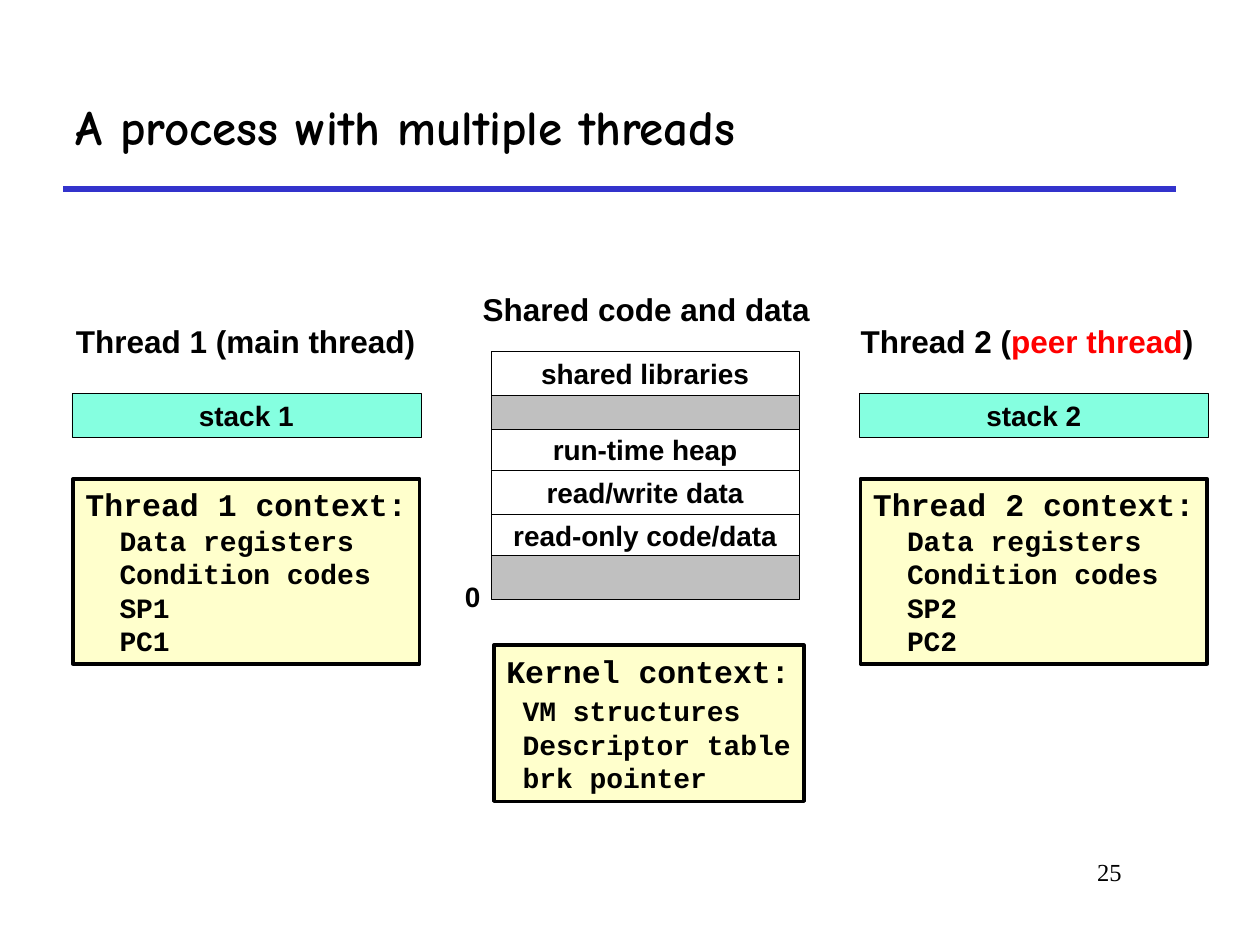
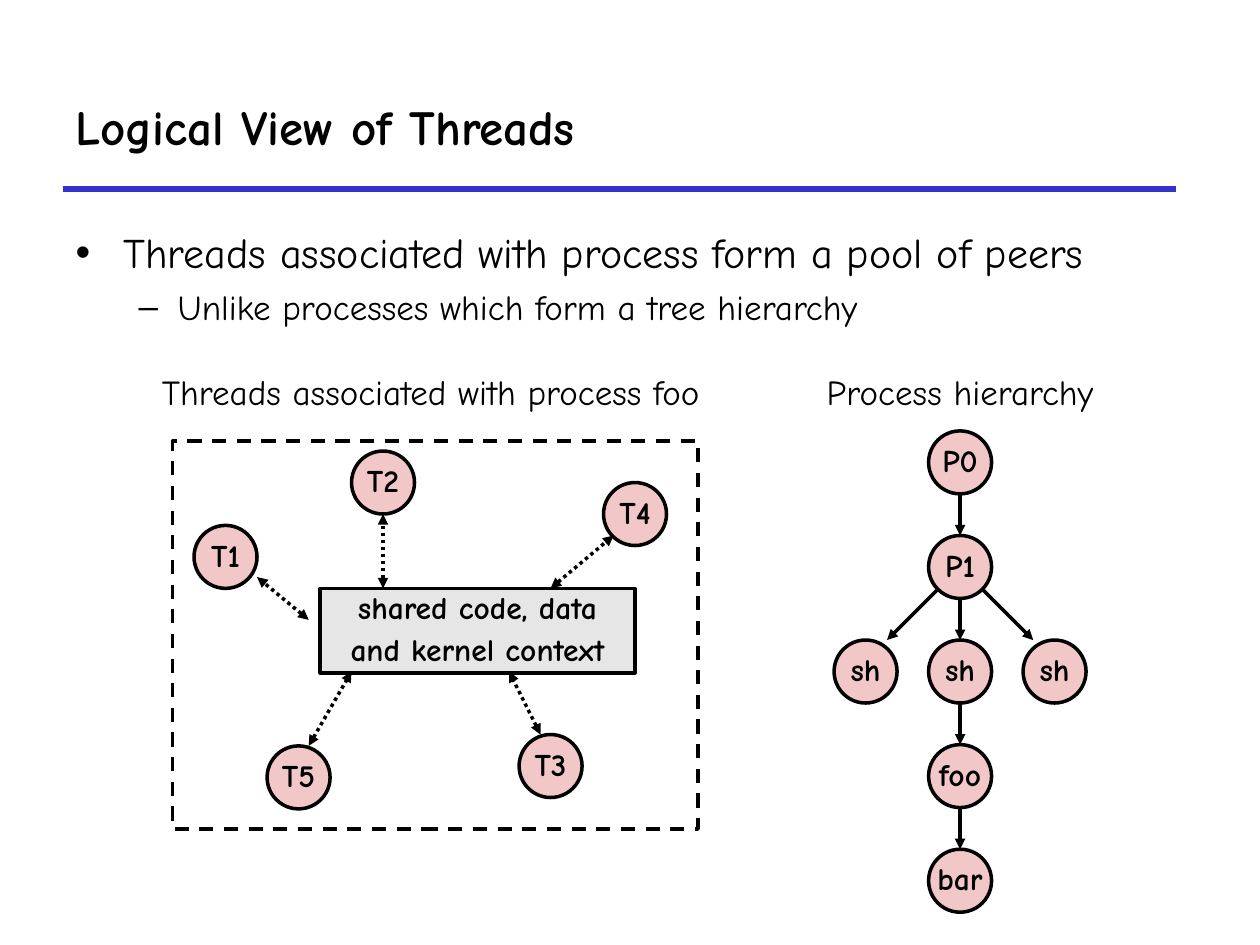
from dataclasses import dataclass

from lxml import etree
from pptx import Presentation
from pptx.dml.color import RGBColor
from pptx.enum.dml import MSO_LINE
from pptx.enum.shapes import MSO_CONNECTOR, MSO_SHAPE
from pptx.enum.text import MSO_ANCHOR, MSO_AUTO_SIZE, PP_ALIGN
from pptx.oxml.ns import qn
from pptx.util import Inches, Pt

RECT, OVAL = MSO_SHAPE.RECTANGLE, MSO_SHAPE.OVAL
STRAIGHT = MSO_CONNECTOR.STRAIGHT
LEFT, CENTER, RIGHT = PP_ALIGN.LEFT, PP_ALIGN.CENTER, PP_ALIGN.RIGHT
DASH, DOTS = MSO_LINE.DASH, MSO_LINE.ROUND_DOT
TITLE_AND_CONTENT, TITLE_ONLY = 1, 5


@dataclass(frozen=True)
class Theme:
    ink: str = "000000"
    rule: str = "3333CC"
    accent: str = "FF0000"
    cell: str = "FFFFFF"
    gap: str = "C0C0C0"
    stack: str = "85FFE0"
    context: str = "FFFFCC"
    node: str = "F1C7C7"
    shared: str = "E6E6E6"
    comic: str = "Comic Neue"
    sans: str = "Arial"
    mono: str = "Courier New"
    serif: str = "Times New Roman"
    title_size: int = 28
    bullet_size: int = 24
    caption_size: int = 20
    heading_size: int = 18
    item_size: int = 16
    number_size: int = 14
    thin: float = 0.25
    thick: float = 2
    rule_width: float = 3


THEME = Theme()

# Slide 1: each label is a list of (text, colour) runs
THREADS_TITLE = "A process with multiple threads"
SLIDE_NUMBER = "25"
THREADS = [
    dict(number=1, label_center=1.95, label=[("Thread 1 (main thread)", THEME.ink)]),
    dict(number=2, label_center=8.15, label=[
        ("Thread 2 (", THEME.ink), ("peer thread", THEME.accent), (")", THEME.ink)]),
]
CONTEXT_ITEMS = ["Data registers", "Condition codes", "SP{0}", "PC{0}"]
MEMORY_HEADING = [("Shared code and data", THEME.ink)]
MEMORY = [  # text (empty for an unused range), height
    ("shared libraries", 0.35),
    ("", 0.27),
    ("run-time heap", 0.32),
    ("read/write data", 0.35),
    ("read-only code/data", 0.33),
    ("", 0.35),
]
KERNEL = ["Kernel context:", "VM structures", "Descriptor table", "brk pointer"]

# Slide 2
LOGICAL_TITLE = "Logical View of Threads"
BULLETS = [  # text, level, size, left margin, hanging indent, space before
    ("Threads associated with process form a pool of peers", 0,
     THEME.bullet_size, 0.38, 0.38, 0),
    ("Unlike processes which form a tree hierarchy", 1,
     THEME.caption_size, 0.81, 0.31, 5),
]
CAPTIONS = [("Threads associated with process foo", 3.42), ("Process hierarchy", 7.62)]
SHARED = ["shared code, data", "and kernel context"]
POOL = [  # thread, centre, arrow start, arrow end
    ("T1", (1.79, 4.42), (2.45, 4.92), (2.04, 4.58)),
    ("T2", (3.04, 3.83), (3.04, 4.67), (3.04, 4.08)),
    ("T3", (4.37, 6.08), (4.29, 5.83), (4.04, 5.33)),
    ("T4", (5.04, 4.08), (4.37, 4.67), (4.87, 4.25)),
    ("T5", (2.37, 6.17), (2.45, 5.92), (2.79, 5.33)),
]
HIERARCHY = [  # process, column, level
    ("P0", 0, 0), ("P1", 0, 1),
    ("sh", -1, 2), ("sh", 0, 2), ("sh", 1, 2),
    ("foo", 0, 3), ("bar", 0, 4),
]
NODE_SIZE = 0.5
TREE_X, TREE_Y, COLUMN_STEP, LEVEL_STEP = 7.62, 3.67, 0.75, 0.83


def inches(*lengths):
    return [Inches(length) for length in lengths]


def style(paragraph, font, size, bold=True, align=LEFT, color=THEME.ink):
    paragraph.alignment = align
    paragraph.font.name = font
    paragraph.font.size = Pt(size)
    paragraph.font.bold = bold
    paragraph.font.color.rgb = RGBColor.from_string(color)


def set_indent(paragraph, margin, hanging=0):
    properties = paragraph._p.get_or_add_pPr()
    properties.set("marL", str(Inches(margin)))
    properties.set("indent", str(-Inches(hanging)))


def write(shape, lines, font, size, bold=True, align=CENTER, spacing=None, before=0):
    """Fill a shape with unwrapped lines in one style and return its paragraphs."""
    frame = shape.text_frame
    frame.word_wrap = False
    frame.auto_size = MSO_AUTO_SIZE.NONE
    frame.vertical_anchor = MSO_ANCHOR.MIDDLE
    frame.text = "\n".join(lines)
    for index, paragraph in enumerate(frame.paragraphs):
        style(paragraph, font, size, bold, align)
        paragraph.line_spacing = spacing
        if index:
            paragraph.space_before = Pt(before)
    return frame.paragraphs


def add_block(slide, kind, box, fill, width, dash=None):
    shape = slide.shapes.add_shape(kind, *inches(*box))
    shape.shadow.inherit = False
    if fill:
        shape.fill.solid()
        shape.fill.fore_color.rgb = RGBColor.from_string(fill)
    else:
        shape.fill.background()
    shape.line.color.rgb = RGBColor.from_string(THEME.ink)
    shape.line.width = Pt(width)
    if dash:
        shape.line.dash_style = dash
    return shape


def add_line(slide, start, end, color=THEME.ink, width=THEME.thick, dash=None, arrows=()):
    """Draw a straight line; arrows names the ends ("headEnd", "tailEnd") with a triangle."""
    line = slide.shapes.add_connector(STRAIGHT, *inches(*start, *end))
    line.line.color.rgb = RGBColor.from_string(color)
    line.line.width = Pt(width)
    if dash:
        line.line.dash_style = dash
    outline = line.line._get_or_add_ln()
    for arrow in arrows:
        etree.SubElement(outline, qn("a:" + arrow), type="triangle")
    etree.SubElement(line._element.spPr, qn("a:effectLst"))


def add_titled_slide(deck, layout, title_text):
    slide = deck.slides.add_slide(deck.slide_layouts[layout])
    add_line(slide, (0.5, 1.5), (9.33, 1.5), THEME.rule, THEME.rule_width)
    title = slide.shapes.title
    title.left, title.top, title.width, title.height = inches(0.5, 0.5, 8.83, 1)
    write(title, [title_text], THEME.comic, THEME.title_size, align=LEFT)
    title.text_frame.word_wrap = True
    return slide


def add_label(slide, runs, center, top, width):
    box = slide.shapes.add_textbox(*inches(center - width / 2, top, width, 0.4))
    paragraph = write(box, [""], THEME.sans, THEME.heading_size)[0]
    for text, color in runs:
        run = paragraph.add_run()
        run.text = text
        run.font.color.rgb = RGBColor.from_string(color)


def add_context(slide, box, lines, margin):
    """Draw a context box: a heading line, then smaller indented items."""
    block = add_block(slide, RECT, box, THEME.context, THEME.thick)
    heading, *items = write(block, lines, THEME.mono, THEME.heading_size, align=LEFT)
    for item in items:
        item.font.size = Pt(THEME.item_size)
        set_indent(item, margin)
    return items


def add_node(slide, name, center):
    x, y = center
    box = (x - NODE_SIZE / 2, y - NODE_SIZE / 2, NODE_SIZE, NODE_SIZE)
    node = add_block(slide, OVAL, box, THEME.node, THEME.thick)
    write(node, [name], THEME.comic, THEME.heading_size, spacing=0.9)


def add_cell(slide, box, text, fill):
    cell = add_block(slide, RECT, box, fill, THEME.thin)
    if text:
        write(cell, [text], THEME.sans, THEME.item_size)


def build_threads_slide(deck):
    slide = add_titled_slide(deck, TITLE_ONLY, THREADS_TITLE)

    for index, thread in enumerate(THREADS):
        number, left = thread["number"], 0.57 + 6.25 * index
        add_label(slide, thread["label"], thread["label_center"], 2.51, 2.89)
        add_cell(slide, (left, 3.12, 2.77, 0.35), f"stack {number}", THEME.stack)
        items = [item.format(number) for item in CONTEXT_ITEMS]
        add_context(slide, (left + 0.01, 3.8, 2.75, 1.47),
                    [f"Thread {number} context:", *items], 0.27)

    add_label(slide, MEMORY_HEADING, 5.13, 2.25, 2.87)
    top = 2.79
    for text, height in MEMORY:
        add_cell(slide, (3.9, top, 2.44, height), text, THEME.cell if text else THEME.gap)
        top += height
    address = slide.shapes.add_textbox(*inches(3.59, 4.55, 0.32, 0.37))
    write(address, ["0"], THEME.sans, THEME.item_size)

    kernel_items = add_context(slide, (3.92, 5.12, 2.46, 1.24), KERNEL, 0.13)
    kernel_items[0].space_before = Pt(2.4)

    number_box = slide.shapes.add_textbox(*inches(7.58, 6.75, 1.42, 0.5))
    write(number_box, [SLIDE_NUMBER], THEME.serif, THEME.number_size, False, RIGHT)
    number_box.text_frame.word_wrap = True
    number_box.text_frame.vertical_anchor = MSO_ANCHOR.TOP


def add_bullets(slide):
    body = slide.placeholders[1]
    body.left, body.top, body.width, body.height = inches(0.5, 1.75, 9.08, 4.83)
    frame = body.text_frame
    frame.auto_size = MSO_AUTO_SIZE.NONE
    frame.text = "\n".join(bullet[0] for bullet in BULLETS)
    for paragraph, (_, level, size, margin, hanging, before) in zip(frame.paragraphs, BULLETS):
        paragraph.level = level
        paragraph.space_before = Pt(before)
        set_indent(paragraph, margin, hanging)
        style(paragraph, THEME.comic, size, bold=False)


def add_pool(slide):
    add_block(slide, RECT, (1.37, 3.5, 4.17, 3.08), None, THEME.thick, DASH)
    shared = add_block(slide, RECT, (2.54, 4.67, 2.5, 0.67), THEME.shared, THEME.thick)
    write(shared, SHARED, THEME.comic, THEME.heading_size, spacing=0.9, before=4.5)
    for name, center, start, end in POOL:
        add_node(slide, name, center)
        add_line(slide, start, end, dash=DOTS, arrows=("headEnd", "tailEnd"))


def add_hierarchy(slide):
    """Draw the process tree; every process hangs from the middle one a level up."""
    radius, slant = NODE_SIZE / 2, 0.17
    for name, column, level in HIERARCHY:
        x, y = TREE_X + column * COLUMN_STEP, TREE_Y + level * LEVEL_STEP
        if level:
            drop = slant if column else radius
            add_line(slide, (TREE_X + column * slant, y - LEVEL_STEP + drop),
                     (x - column * slant, y - radius), arrows=("tailEnd",))
        add_node(slide, name, (x, y))


def build_logical_slide(deck):
    slide = add_titled_slide(deck, TITLE_AND_CONTENT, LOGICAL_TITLE)
    add_bullets(slide)
    for text, center in CAPTIONS:
        caption = slide.shapes.add_textbox(*inches(center - 2.25, 2.93, 4.5, 0.4))
        write(caption, [text], THEME.comic, THEME.caption_size, False, spacing=0.9)
    add_pool(slide)
    add_hierarchy(slide)


def main():
    deck = Presentation()
    deck.slide_width, deck.slide_height = inches(10, 7.5)
    build_threads_slide(deck)
    build_logical_slide(deck)
    deck.save("out.pptx")


if __name__ == "__main__":
    main()
